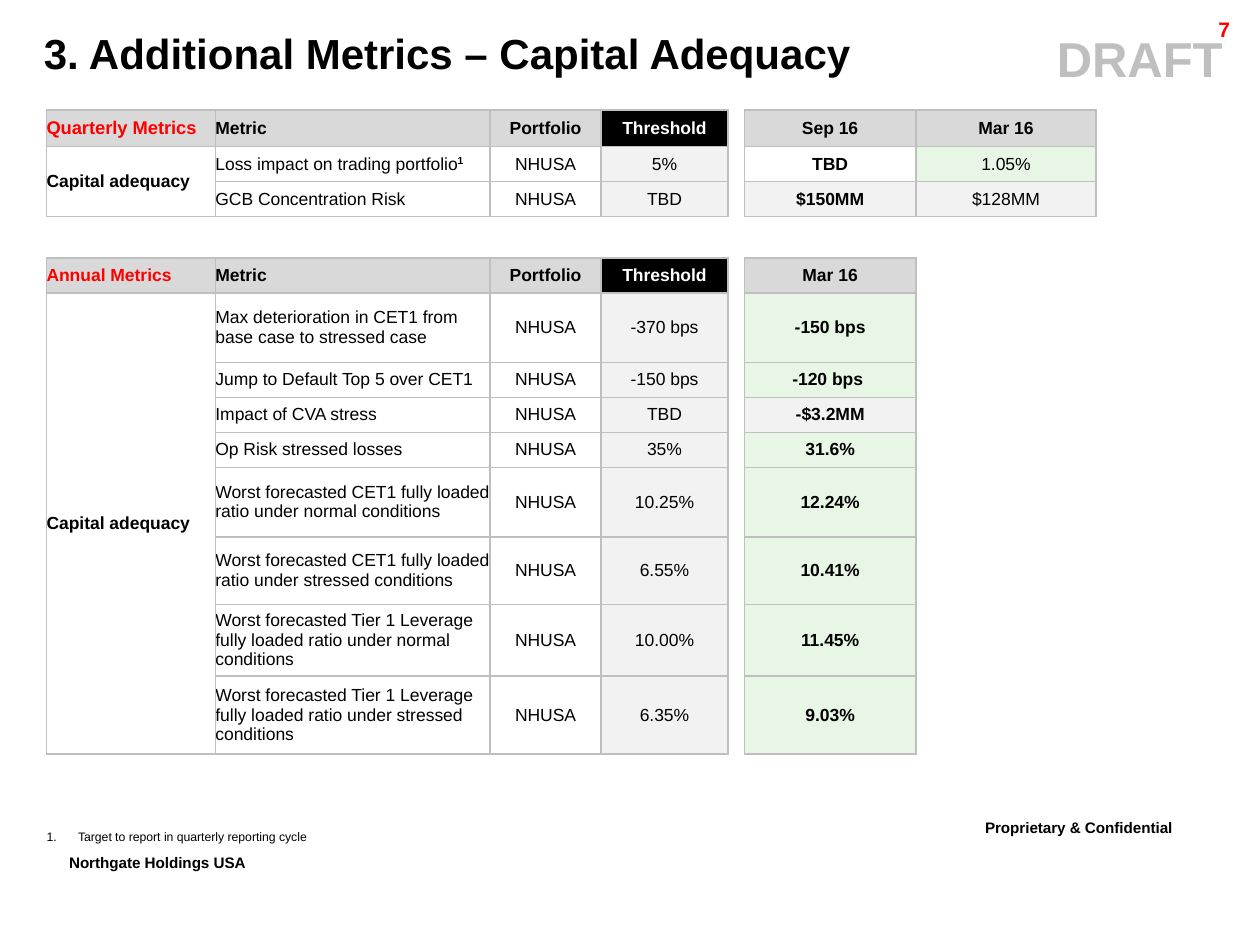
from lxml import etree
from pptx import Presentation
from pptx import util as u
from pptx.dml.color import RGBColor
from pptx.enum import text as t
from pptx.oxml import ns

Pt = u.Pt
HUES = {"ink": "000000", "white": "FFFFFF", "red": "FF0000", "head": "D9D9D9",
        "pale": "F2F2F2", "green": "E8F6E6", "line": "BFBFBF"}
FONT = "Arial"
PLAIN = "{2D5ABB26-0587-4C30-8999-92F81FD0307C}"  # no style, no grid
LEFT, MID, RIGHT = t.PP_ALIGN.LEFT, t.PP_ALIGN.CENTER, t.PP_ALIGN.RIGHT

COLS = [96.5, 157, 63.3, 72.7, 9.3, 98, 103]
ROWS = [21, 20, 20, 23.7, 20, 39.7, 20, 20, 20, 39.7, 38.6, 41, 44.6]
GAP = 4  # column that parts the limits from the results
UNIT = "NHUSA"
GROUP = "Capital adequacy"

# Each block: first row, title, title size, periods, and lines of
# (metric, threshold, [(result, tone), ...])
BLOCKS = [
    (0, "Quarterly Metrics", 10.5, ["Sep 16", "Mar 16"], [
        ("Loss impact on trading portfolio^1", "5%",
         [("TBD", None), ("1.05%", "green")]),
        ("GCB Concentration Risk", "TBD",
         [("$150MM", "pale"), ("$128MM", "pale")]),
    ]),
    (4, "Annual Metrics", 10, ["Mar 16"], [
        ("Max deterioration in CET1 from base case to stressed case",
         "-370 bps", [("-150 bps", "green")]),
        ("Jump to Default Top 5 over CET1", "-150 bps", [("-120 bps ", "green")]),
        ("Impact of CVA stress", "TBD", [("-$3.2MM", "pale")]),
        ("Op Risk stressed losses", "35%", [("31.6%", "green")]),
        ("Worst forecasted CET1 fully loaded ratio under normal conditions",
         "10.25%", [("12.24%", "green")]),
        ("Worst forecasted CET1 fully loaded ratio under stressed conditions",
         "6.55%", [("10.41%", "green")]),
        ("Worst forecasted Tier 1 Leverage fully loaded ratio under normal "
         "conditions", "10.00%", [("11.45%", "green")]),
        ("Worst forecasted Tier 1 Leverage fully loaded ratio under stressed "
         "conditions", "6.35%", [("9.03%", "green")]),
    ]),
]


def add_run(para, words, size, bold=False, hue="ink", raised=False):
    run = para.add_run()
    run.text = words
    for name, value in {"name": FONT, "size": Pt(size), "bold": bold}.items():
        setattr(run.font, name, value)
    run.font.color.rgb = RGBColor.from_string(HUES[hue])
    if raised:
        run.font._element.set("baseline", "30000")


def add_text(slide, box, words, size, align=LEFT, wrap=True, inset=None, **look):
    """Place one line of text in box and return its paragraph."""
    frame = slide.shapes.add_textbox(*map(Pt, box)).text_frame
    frame.word_wrap = wrap
    if inset is not None:
        for side in ("left", "right", "top", "bottom"):
            setattr(frame, f"margin_{side}", Pt(inset))
    para = frame.paragraphs[0]
    para.alignment = align
    add_run(para, words, size, **look)
    return para


def indent(para, left, first=0):
    props = para._p.get_or_add_pPr()
    props.set("marL", str(Pt(left)))
    props.set("indent", str(Pt(first)))
    return props


def edge_cell(cell):
    """Draw a thin line on all four sides."""
    props = cell._tc.get_or_add_tcPr()
    for side in "LRTB":
        line = etree.SubElement(props, ns.qn(f"a:ln{side}"), w=str(Pt(1)))
        fill = etree.SubElement(line, ns.qn("a:solidFill"))
        etree.SubElement(fill, ns.qn("a:srgbClr"), val=HUES["line"])


def fill_cell(cell, words, align=MID, fill=None, size=10, **look):
    edge_cell(cell)
    if fill:
        cell.fill.solid()
        cell.fill.fore_color.rgb = RGBColor.from_string(HUES[fill])
    para = cell.text_frame.paragraphs[0]
    for name, value in {"alignment": align, "space_before": Pt(2),
                        "space_after": Pt(2)}.items():
        setattr(para, name, value)
    body, _, mark = words.partition("^")
    add_run(para, body, size, **look)
    if mark:
        add_run(para, mark, size, bold=True, raised=True)


def fill_block(table, top, title, size, dates, lines):
    """Fill one heading row and the metric rows below it."""
    head = {"fill": "head", "bold": True}
    fill_cell(table.cell(top, 0), title, LEFT, size=size, hue="red", **head)
    fill_cell(table.cell(top, 1), "Metric", LEFT, **head)
    fill_cell(table.cell(top, 2), "Portfolio", **head)
    fill_cell(table.cell(top, 3), "Threshold", fill="ink", bold=True, hue="white")
    for col, date in enumerate(dates, GAP + 1):
        fill_cell(table.cell(top, col), date, **head)

    first, last = table.cell(top + 1, 0), table.cell(top + len(lines), 0)
    first.merge(last)
    fill_cell(first, GROUP, LEFT, bold=True)
    for row, (metric, limit, results) in enumerate(lines, top + 1):
        if row > top + 1:
            edge_cell(table.cell(row, 0))
        fill_cell(table.cell(row, 1), metric, LEFT)
        fill_cell(table.cell(row, 2), UNIT)
        fill_cell(table.cell(row, 3), limit, fill="pale")
        for i, (value, tone) in enumerate(results):
            fill_cell(table.cell(row, GAP + 1 + i), value, fill=tone, bold=i == 0)


def add_grid(slide, left, top):
    shape = slide.shapes.add_table(len(ROWS), len(COLS), Pt(left), Pt(top),
                                   Pt(sum(COLS)), Pt(sum(ROWS)))
    table = shape.table
    table.first_row = table.horz_banding = False
    table._tbl.tblPr.find(ns.qn("a:tableStyleId")).text = PLAIN
    for col, width in zip(table.columns, COLS):
        col.width = Pt(width)
    for row, height in zip(table.rows, ROWS):
        row.height = Pt(height)
    for cell in table.iter_cells():
        cell.vertical_anchor = t.MSO_ANCHOR.MIDDLE
        for side in ("left", "right", "top", "bottom"):
            setattr(cell, f"margin_{side}", 0)
    for block in BLOCKS:
        fill_block(table, *block)
    for cell in table.iter_cells():
        if not cell.text_frame.text:  # keeps empty cells from stretching rows
            para = cell.text_frame.paragraphs[0]._p
            etree.SubElement(para, ns.qn("a:endParaRPr"), sz="1000")


def add_header(slide):
    draft = add_text(slide, (82.8, 13, 632.9, 41), "DRAFT", 28, MID,
                     bold=True, hue="line")
    indent(draft, 504)
    page = add_text(slide, (641.5, 8, 68.4, 17.3), "7", 12, RIGHT,
                    bold=True, hue="red")
    page.line_spacing = 0.86
    add_text(slide, (18, 12.2, 673.2, 36), "3. Additional Metrics – Capital Adequacy",
             24, bold=True)


def add_footer(slide):
    mark = {"bold": True, "raised": True}
    add_text(slide, (555.8, 462.2, 157, 25.2), "Proprietary & Confidential", 15, **mark)
    add_text(slide, (32.4, 482.4, 137.5, 25.2), "Northgate Holdings USA", 15,
             wrap=False, **mark)
    note = add_text(slide, (26.6, 473.8, 375, 8.6),
                    "Target to report in quarterly reporting cycle", 7, inset=0)
    props = indent(note, 18, -18)
    etree.SubElement(props, ns.qn("a:buAutoNum"), type="arabicPeriod")


def main():
    deck = Presentation()
    deck.slide_width, deck.slide_height = Pt(720), Pt(540)
    slide = deck.slides.add_slide(deck.slide_layouts[6])
    add_header(slide)
    add_grid(slide, 26.6, 62.8)
    add_footer(slide)
    deck.save("out.pptx")


if __name__ == "__main__":
    main()
